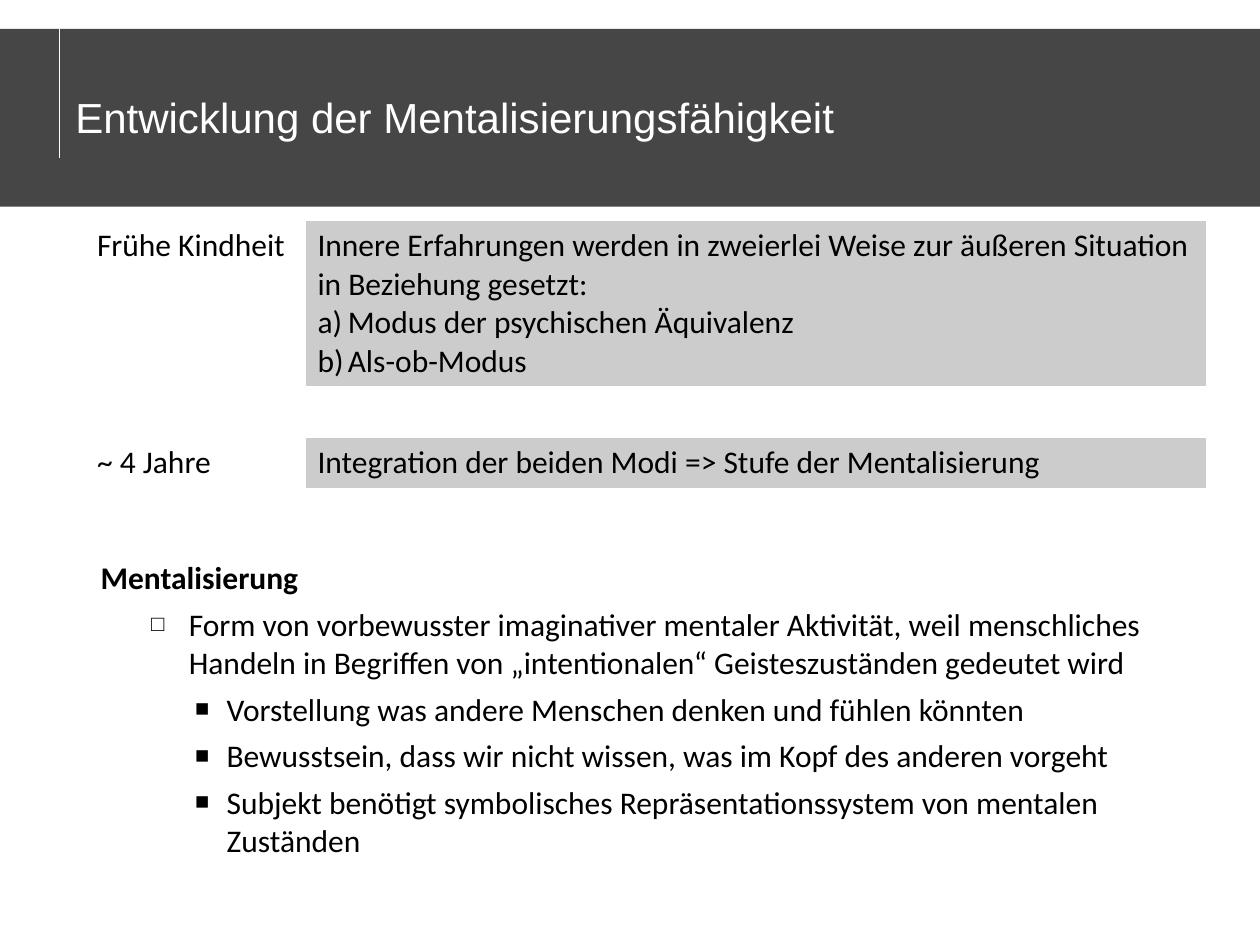
import pptx
import pptx.util
import pptx.dml.color
import pptx.enum.shapes
import pptx.enum.text
import pptx.oxml.ns
import lxml.etree
from dataclasses import dataclass

Inches, Pt = pptx.util.Inches, pptx.util.Pt


@dataclass(frozen=True)
class Theme:
    band: str = "464646"
    light: str = "FFFFFF"
    dark: str = "000000"
    heading_font: str = "Arial"
    body_font: str = "Calibri"
    title_size: int = 24
    body_size: int = 18
    cell_alpha: int = 20


THEME = Theme()
TITLE = "Entwicklung der Mentalisierungsfähigkeit"

# Stage rows: (height, age, [(text, paragraph format)]); None marks a gap row.
NUMBERED = dict(left=0.24, hang=0.24, number="alphaLcParenR")
STAGES = [
    (1.32, "Frühe Kindheit", [
        ("Innere Erfahrungen werden in zweierlei Weise zur äußeren Situation "
         "in Beziehung gesetzt:", {}),
        ("Modus der psychischen Äquivalenz", NUMBERED),
        ("Als-ob-Modus", NUMBERED)]),
    (0.4, None, None),
    (0.41, "~ 4 Jahre", [
        ("Integration der beiden Modi => Stufe der Mentalisierung", {})]),
    (0.41, None, None),
]
COLUMNS = [1.75, 7.16]

POINT = dict(level=1, left=0.7, hang=0.3, before=5.5, bullet="□", bullet_size=70)
SUBPOINT = dict(level=2, left=1, hang=0.25, before=5, bullet="■", bullet_size=75)
DEFINITION = [
    ("Mentalisierung", dict(left=0.35, hang=0.35, bold=True)),
    ("Form von vorbewusster imaginativer mentaler Aktivität, weil menschliches "
     "Handeln in Begriffen von „intentionalen“ Geisteszuständen gedeutet wird", POINT),
    ("Vorstellung was andere Menschen denken und fühlen könnten", SUBPOINT),
    ("Bewusstsein, dass wir nicht wissen, was im Kopf des anderen vorgeht", SUBPOINT),
    ("Subjekt benötigt symbolisches Repräsentationssystem von mentalen "
     "Zuständen", SUBPOINT),
]


def rgb(value):
    return pptx.dml.color.RGBColor.from_string(value)


def add_xml(parent, tag, **attributes):
    return lxml.etree.SubElement(parent, pptx.oxml.ns.qn(tag), attributes)


def add_text(tf, text, font=THEME.body_font, size=THEME.body_size, color=THEME.dark,
             bold=False, level=0, left=0, hang=0, before=0, bullet=None,
             bullet_size=100, number=None):
    """Fill the frame's empty first paragraph, or append a new one."""
    p = tf.paragraphs[0] if not tf.text else tf.add_paragraph()
    p.level = level
    pPr = p._p.get_or_add_pPr()
    pPr.set("marL", str(Inches(left)))
    pPr.set("indent", str(-Inches(hang)))
    if bullet or number:
        add_xml(add_xml(pPr, "a:buClr"), "a:srgbClr", val=color)
        add_xml(pPr, "a:buSzPct", val=str(bullet_size * 1000))
        add_xml(pPr, "a:buFont", typeface=THEME.heading_font if bullet else font)
    if bullet:
        add_xml(pPr, "a:buChar", char=bullet)
    elif number:
        add_xml(pPr, "a:buAutoNum", type=number)
    if before:
        p.space_before = Pt(before)
    r = p.add_run()
    r.text = text
    r.font.name, r.font.size, r.font.bold = font, Pt(size), bold
    r.font.color.rgb = rgb(color)


def add_box(slide, *place):
    tf = slide.shapes.add_textbox(*map(Inches, place)).text_frame
    tf.word_wrap = True
    return tf


def fill_cell(cell, color, paragraphs):
    cell.fill.solid()
    cell.fill.fore_color.rgb = rgb(color)
    srgb = cell._tc.tcPr.find(".//" + pptx.oxml.ns.qn("a:srgbClr"))
    add_xml(srgb, "a:alpha", val=str(THEME.cell_alpha * 1000))
    for text, style in paragraphs:
        add_text(cell.text_frame, text, **style)


def add_header(slide):
    band = slide.shapes.add_shape(pptx.enum.shapes.MSO_SHAPE.RECTANGLE,
                                  0, Inches(0.23), Inches(10), Inches(1.41))
    band.shadow.inherit = False
    band.fill.solid()
    band.fill.fore_color.rgb = rgb(THEME.band)
    band.line.fill.background()

    rule = slide.shapes.add_connector(pptx.enum.shapes.MSO_CONNECTOR.STRAIGHT,
                                      *map(Inches, (0.47, 0.23, 0.47, 1.25)))
    rule.line.color.rgb = rgb(THEME.light)
    rule.line.width = Pt(0.75)
    add_xml(rule._element.spPr, "a:effectLst")

    tf = add_box(slide, 0.5, 0.3, 9, 1.25)
    tf.vertical_anchor = pptx.enum.text.MSO_ANCHOR.MIDDLE
    add_text(tf, TITLE, font=THEME.heading_font, size=THEME.title_size,
             color=THEME.light)


def add_stages(slide):
    height = sum(stage[0] for stage in STAGES)
    table = slide.shapes.add_table(
        len(STAGES), len(COLUMNS), Inches(0.67), Inches(1.75),
        Inches(sum(COLUMNS)), Inches(height)).table
    table.first_row = table.horz_banding = False
    for column, width in zip(table.columns, COLUMNS):
        column.width = Inches(width)
    for row, (row_height, age, paragraphs) in zip(table.rows, STAGES):
        row.height = Inches(row_height)
        age_cell, text_cell = row.cells
        if age:
            fill_cell(age_cell, THEME.light, [(age, {})])
            fill_cell(text_cell, THEME.dark, paragraphs)
        else:
            age_cell.fill.background()
            text_cell.fill.background()


def add_definition(slide):
    tf = add_box(slide, 0.7, 4.38, 8.91, 2.49)
    for text, style in DEFINITION:
        add_text(tf, text, **style)


def main():
    prs = pptx.Presentation()
    prs.slide_width, prs.slide_height = Inches(10), Inches(7.5)
    slide = prs.slides.add_slide(prs.slide_layouts[6])
    add_header(slide)
    add_stages(slide)
    add_definition(slide)
    prs.save("out.pptx")


if __name__ == "__main__":
    main()
